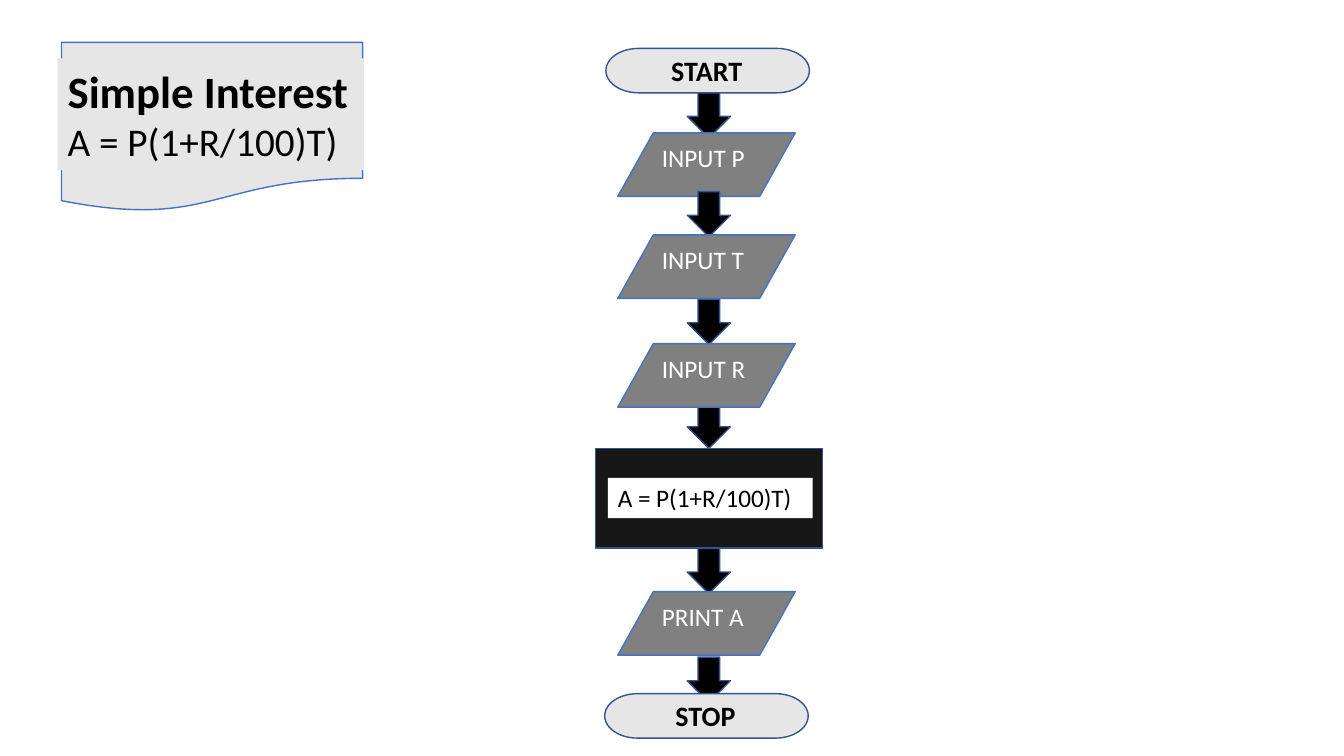
"""Build a flowchart slide for computing simple interest."""
from dataclasses import dataclass

from pptx import Presentation
from pptx.dml.color import RGBColor
from pptx.enum import shapes, text
from pptx.util import Cm, Pt

KIND = shapes.MSO_SHAPE
FORMULA = "A = P(1+R/100)T)"


@dataclass(frozen=True)
class Theme:
    """Colours, type sizes and font of the slide."""
    font: str = "Calibri"
    pale: str = "E7E6E6"
    grey: str = "808080"
    dark: str = "181717"
    black: str = "000000"
    white: str = "FFFFFF"
    blue: str = "4472C4"
    navy: str = "325491"
    heading: int = 32
    subheading: int = 28
    terminal: int = 20
    step: int = 18


THEME = Theme()


def paint(part, fill, line=None):
    """Give a part its fill and, if a colour is named, its outline."""
    part.fill.solid()
    part.fill.fore_color.rgb = RGBColor.from_string(fill)
    if line:
        part.line.color.rgb = RGBColor.from_string(line)
        part.line.width = Pt(1)
    else:
        part.line.fill.background()


def style(paragraph, size, color, bold=False, align=text.PP_ALIGN.LEFT):
    """Format a paragraph and its runs."""
    paragraph.alignment = align
    for run in paragraph.runs:
        run.font.name = THEME.font
        run.font.size = Pt(size)
        run.font.bold = bold
        run.font.color.rgb = RGBColor.from_string(color)


def add_outline(parent, kind, box, fill, line):
    """Add a flat preset shape in a box given in centimetres."""
    outline = parent.shapes.add_shape(kind, *map(Cm, box))
    outline.shadow.inherit = False
    paint(outline, fill, line)
    return outline


def add_label(parent, words, box, size, color, **look):
    """Add a wrapped line of text in a box given in centimetres."""
    label = parent.shapes.add_textbox(*map(Cm, box))
    label.text_frame.word_wrap = True
    label.text_frame.text = words
    style(label.text_frame.paragraphs[0], size, color, **look)
    return label


def add_terminal(slide, words, left, top):
    """Add a rounded start or stop step."""
    terminal = slide.shapes.add_group_shape()
    add_outline(terminal, KIND.FLOWCHART_TERMINATOR, (left, top, 5.13, 1.12),
                THEME.pale, THEME.navy)
    add_label(terminal, words, (left + 0.89, top, 3.3, 1.12), THEME.terminal,
              THEME.black, bold=True, align=text.PP_ALIGN.CENTER)


def add_data_step(slide, words, top):
    """Add a slanted input or output step."""
    step = slide.shapes.add_group_shape()
    add_outline(step, KIND.FLOWCHART_DATA, (15.57, top, 4.47, 1.6),
                THEME.grey, THEME.blue)
    add_label(step, words, (16.43, top + 0.12, 2.74, 1.02),
              THEME.step, THEME.white)


def add_arrow(slide, top):
    """Add a block arrow on the axis of the flow."""
    add_outline(slide, KIND.DOWN_ARROW, (17.32, top, 1.09, 1.14),
                THEME.black, THEME.navy)


def add_calculation(slide):
    """Add the process step that holds the formula."""
    add_outline(slide, KIND.FLOWCHART_PROCESS, (15.01, 11.3, 5.72, 2.51),
                THEME.dark, THEME.navy)
    formula = add_label(slide, FORMULA, (15.32, 12.04, 5.16, 1.02),
                        THEME.step, THEME.black)
    paint(formula, THEME.white)


def add_heading(slide):
    """Set the title and its formula on a document shape."""
    document = add_outline(slide, KIND.FLOWCHART_DOCUMENT,
                           (1.55, 1.07, 7.59, 4.27), THEME.pale, THEME.blue)
    heading = slide.shapes.title
    document.element.addnext(heading.element)
    heading.left, heading.top, heading.width, heading.height = map(
        Cm, (1.45, 1.47, 7.72, 2.82))
    paint(heading, THEME.pale)
    frame = heading.text_frame
    frame.text = f"Simple Interest\n{FORMULA}"
    frame.word_wrap = True
    frame.auto_size = text.MSO_AUTO_SIZE.NONE
    frame.vertical_anchor = text.MSO_ANCHOR.TOP
    name, formula = frame.paragraphs
    style(name, THEME.heading, THEME.black, bold=True)
    style(formula, THEME.subheading, THEME.black)


def main():
    """Build and save the slide."""
    deck = Presentation()
    deck.slide_width, deck.slide_height = Cm(33.87), Cm(19.05)
    slide = deck.slides.add_slide(deck.slide_layouts[5])
    add_heading(slide)
    add_terminal(slide, "START", 15.27, 1.22)
    add_arrow(slide, 2.34)
    add_data_step(slide, "INPUT P", 3.35)
    for top in (4.83, 7.54, 10.16, 13.82, 16.56):
        add_arrow(slide, top)
    for words, top in (("INPUT T", 5.92), ("INPUT R", 8.66), ("PRINT A", 14.91)):
        add_data_step(slide, words, top)
    add_calculation(slide)
    add_terminal(slide, "STOP", 15.24, 17.48)
    deck.save("out.pptx")


if __name__ == "__main__":
    main()
